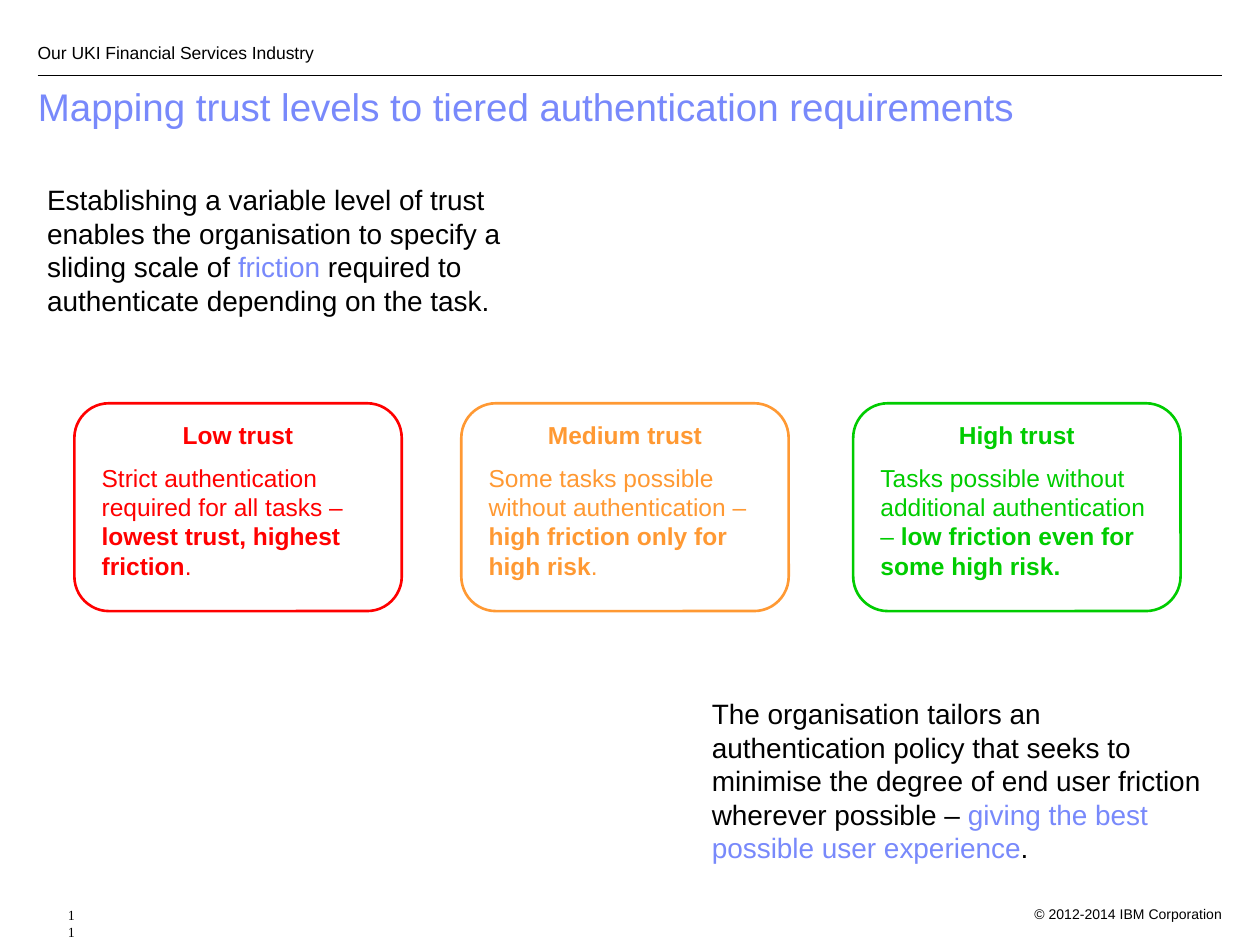
import dataclasses

import pptx
import pptx.dml.color
import pptx.enum.shapes
import pptx.enum.text
import pptx.oxml.ns
import pptx.util
from lxml import etree

Cm = pptx.util.Cm
Pt = pptx.util.Pt
Rgb = pptx.dml.color.RGBColor.from_string
Align = pptx.enum.text.PP_ALIGN
Anchor = pptx.enum.text.MSO_ANCHOR


@dataclasses.dataclass(frozen=True)
class Theme:
    """Colours, fonts and type sizes of the slide."""
    ink: str = "000000"
    accent: str = "7889FB"
    low: str = "FF0000"
    medium: str = "FF9933"
    high: str = "00CC00"
    sans: str = "Arial"
    serif: str = "Times New Roman"
    title: int = 22
    body: int = 16
    card: int = 14
    head: int = 10
    foot: int = 8


THEME = Theme()


@dataclasses.dataclass(frozen=True)
class Box:
    """A region in centimetres."""
    left: float
    top: float
    width: float
    height: float

    def inner(self, left, top, width, height):
        """Return a box placed relative to this one."""
        return Box(self.left + left, self.top + top, width, height)

    def place(self):
        """Return the four lengths that python-pptx expects."""
        return [Cm(v) for v in (self.left, self.top, self.width, self.height)]


def style(para, size, color=None, bold=None, face=THEME.sans):
    """Set the font that all runs of a paragraph share."""
    font = para.font
    font.name, font.size, font.bold = face, Pt(size), bold
    if color:
        font.color.rgb = Rgb(color)


def add_text(shapes, box, text="", anchor=Anchor.TOP):
    """Add a wrapping text box and return its first paragraph."""
    frame = shapes.add_textbox(*box.place()).text_frame
    frame.word_wrap = True
    frame.vertical_anchor = anchor
    para = frame.paragraphs[0]
    para.text = text
    return para


def add_header(slide, box):
    """Draw the running head, the rule below it and the title."""
    head = add_text(slide.shapes, box.inner(0, 0, 11.94, 1.02),
                    "Our UKI Financial Services Industry", Anchor.BOTTOM)
    style(head, THEME.head, THEME.ink)
    head.space_after = Pt(9)
    rule_y = Cm(box.top + 1.14)
    rule = slide.shapes.add_connector(
        pptx.enum.shapes.MSO_CONNECTOR.STRAIGHT,
        Cm(box.left + 0.25), rule_y, Cm(box.left + box.width), rule_y)
    rule.line.color.rgb = Rgb(THEME.ink)
    rule.line.width = Pt(0.75)
    etree.SubElement(rule._element.spPr, pptx.oxml.ns.qn("a:effectLst"))

    title = slide.shapes.title
    spot = box.inner(0, 1.27, 24.13, 1.52)
    title.left, title.top, title.width, title.height = spot.place()
    frame = title.text_frame
    frame.text = "Mapping trust levels to tiered authentication requirements"
    frame.auto_size = pptx.enum.text.MSO_AUTO_SIZE.NONE
    frame.vertical_anchor = Anchor.TOP
    para = frame.paragraphs[0]
    para.alignment = Align.LEFT
    para.line_spacing = 0.9
    style(para, THEME.title, THEME.accent)


def add_note(slide, box, start, key, end):
    """Write a statement with one accented phrase."""
    para = add_text(slide.shapes, box)
    style(para, THEME.body)
    for text, color in ((start, THEME.ink), (key, THEME.accent),
                        (end, THEME.ink)):
        run = para.add_run()
        run.text = text
        run.font.color.rgb = Rgb(color)


def add_card(slide, box, color, name, start, key, end):
    """Draw one outlined trust level with its heading and rule."""
    group = slide.shapes.add_group_shape()
    card = group.shapes.add_shape(
        pptx.enum.shapes.MSO_SHAPE.ROUNDED_RECTANGLE, *box.place())
    card.shadow.inherit = False
    card.fill.background()
    card.line.color.rgb = Rgb(color)
    card.line.width = Pt(1.5)
    frame = card.text_frame
    frame.word_wrap = False
    frame.vertical_anchor = Anchor.TOP
    frame.text = name
    frame.paragraphs[0].alignment = Align.CENTER
    style(frame.paragraphs[0], THEME.card, color, True)

    para = add_text(group.shapes, box.inner(0.3, 1.07, 5.9, 2.64))
    style(para, THEME.card, color)
    for text, bold in ((start, False), (key, True), (end, False)):
        if text:
            run = para.add_run()
            run.text = text
            run.font.bold = bold


def add_footer(slide, box):
    """Write the page number and the copyright line."""
    page = add_text(slide.shapes, box.inner(0, 0.02, 1.02, 0.51), "11")
    page._p.get_or_add_pPr().set("marL", str(Cm(0.61)))
    style(page, THEME.foot, THEME.ink, face=THEME.serif)
    width = 5.9
    legal = add_text(slide.shapes,
                     box.inner(box.width - width, 0, width, 0.56),
                     "© 2012-2014 IBM Corporation")
    legal.alignment = Align.RIGHT
    style(legal, THEME.foot, THEME.ink)


def main():
    """Build the slide and save it."""
    deck = pptx.Presentation()
    deck.slide_width, deck.slide_height = Cm(25.4), Cm(19.05)
    slide = deck.slides.add_slide(deck.slide_layouts.get_by_name("Title Only"))
    add_header(slide, Box(0.51, 0.38, 24.13, 2.79))
    add_note(slide, Box(0.7, 3.56, 10.7, 2.97),
             "Establishing a variable level of trust enables the organisation "
             "to specify a sliding scale of ", "friction",
             " required to authenticate depending on the task.")
    cards = (
        (1.5, THEME.low, "Low trust",
         "Strict authentication required for all tasks – ",
         "lowest trust, highest friction", "."),
        (9.3, THEME.medium, "Medium trust",
         "Some tasks possible without authentication – ",
         "high friction only for high risk", "."),
        (17.2, THEME.high, "High trust",
         "Tasks possible without additional authentication – ",
         "low friction even for some high risk.", ""),
    )
    for left, *card in cards:
        add_card(slide, Box(left, 8.13, 6.6, 4.19), *card)
    add_note(slide, Box(14.1, 13.92, 10.7, 3.66),
             "The organisation tailors an authentication policy that seeks to "
             "minimise the degree of end user friction wherever possible – ",
             "giving the best possible user experience", ".")
    add_footer(slide, Box(0.51, 18.14, 24.38, 0.56))
    deck.save("out.pptx")


if __name__ == "__main__":
    main()
